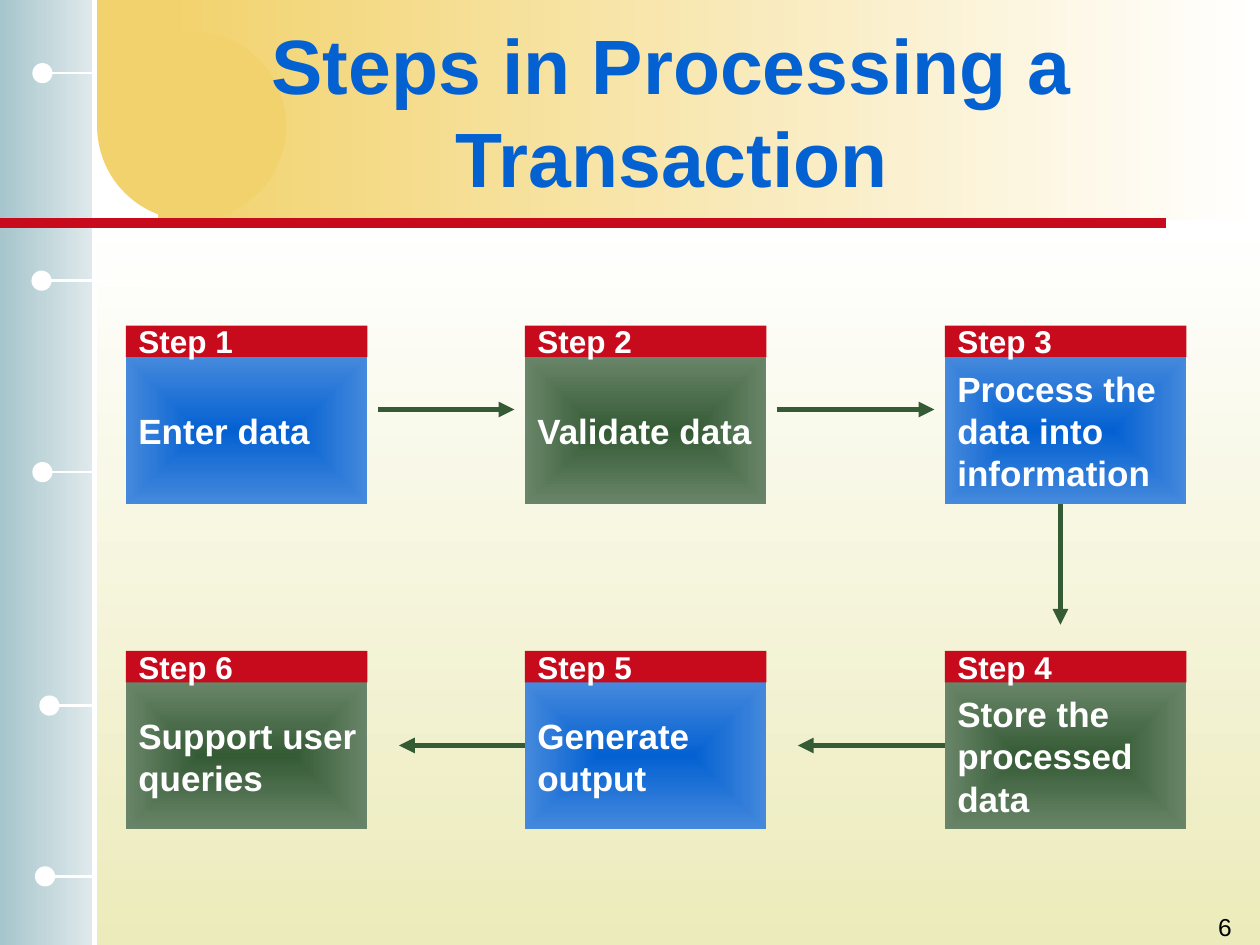
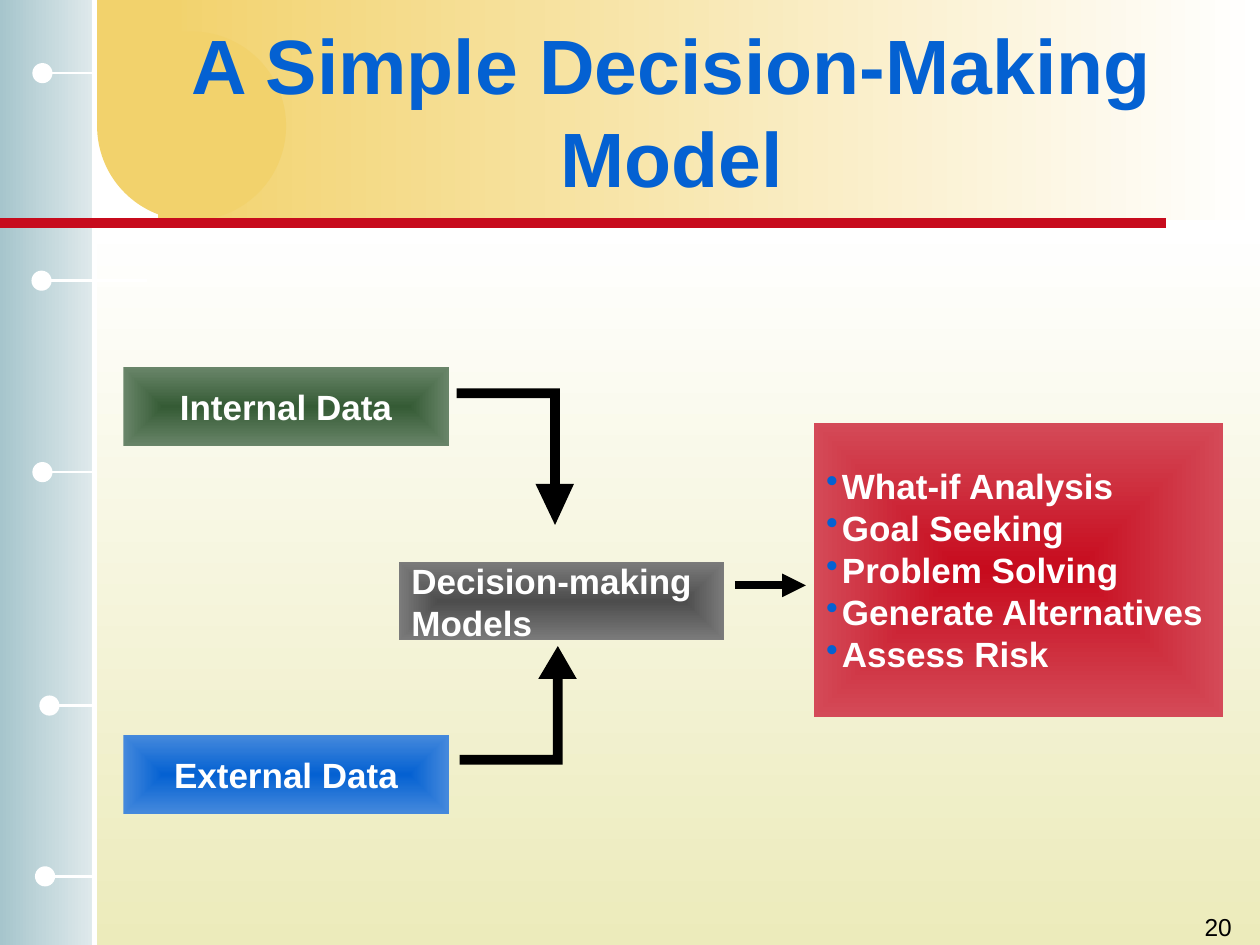
from pptx import Presentation
from pptx.util import Pt
from pptx.dml.color import RGBColor as RGB
from pptx.enum.shapes import MSO_SHAPE as Kind, MSO_CONNECTOR as Conn
from pptx.enum.text import PP_ALIGN as Align, MSO_ANCHOR as Anchor
from pptx.oxml.ns import qn
from lxml.etree import SubElement as Sub

WHITE, BLACK = "FFFFFF", "000000"
BLUE, GREEN, RED, GRAY = "0461D2", "355B35", "C70B1D", "4D4D4D"
GOLD = "F2D26C"
EDGE = {BLUE: "4589DC", GREEN: "698569", RED: "D44A58", GRAY: "7B7B7B"}


def rgb(code):
    return RGB.from_string(code)


class Deck:
    font = "Arial"

    def __init__(self):
        self.prs = Presentation()
        self.prs.slide_width, self.prs.slide_height = Pt(720), Pt(540)
        self.slide = None

    # Shapes
    def shape(self, x, y, w, h, fill, kind=Kind.RECTANGLE):
        item = self.slide.shapes.add_shape(kind, Pt(x), Pt(y), Pt(w), Pt(h))
        self.paint(item, fill)
        return item

    def paint(self, item, fill):
        item.shadow.inherit = False
        item.fill.solid()
        item.fill.fore_color.rgb = rgb(fill)
        item.line.fill.background()

    def blend(self, item, first, last, angle=None):
        """Linear gradient at an angle, or one that grows from the centre."""
        fill = item.fill
        fill.gradient()
        for stop, code in zip(fill.gradient_stops, (first, last)):
            stop.color.rgb = rgb(code)
        if angle is not None:
            fill.gradient_angle = angle
            return
        grad = item._element.spPr.find(qn("a:gradFill"))
        grad.remove(grad.find(qn("a:lin")))
        focus = Sub(grad, qn("a:path"), {"path": "rect"})
        Sub(focus, qn("a:fillToRect"), l="50000", t="50000", r="50000", b="50000")

    def line(self, x1, y1, x2, y2, color, width, arrow=False):
        item = self.slide.shapes.add_connector(
            Conn.STRAIGHT, Pt(x1), Pt(y1), Pt(x2), Pt(y2))
        item.line.color.rgb = rgb(color)
        item.line.width = Pt(width)
        if arrow:
            Sub(item._element.spPr.find(qn("a:ln")), qn("a:tailEnd"), type="triangle")
        Sub(item._element.spPr, qn("a:effectLst"))

    def bend(self, x, outer, inner, neck, tip):
        """Elbow arrow: a bar to the right, then a shaft up or down to the tip."""
        dots = [(0, inner), (53.4, inner), (53.4, neck), (45, neck), (56.2, tip),
                (67, neck), (59, neck), (59, outer), (0, outer)]
        dots = [(Pt(x + dx), Pt(y)) for dx, y in dots]
        form = self.slide.shapes.build_freeform(*dots[0])
        form.add_line_segments(dots[1:], close=True)
        self.paint(form.convert_to_shape(), BLACK)

    # Text
    def text(self, item, lines, size, color=WHITE, bold=True, align=Align.LEFT,
             anchor=Anchor.MIDDLE, bullet=False):
        frame = item.text_frame
        frame.word_wrap = True
        frame.vertical_anchor = anchor
        frame.margin_left = Pt(7.2)
        frame.margin_right = Pt(0 if align == Align.LEFT else 7.2)
        frame.margin_top = frame.margin_bottom = Pt(3.6)
        for i, words in enumerate(lines):
            para = frame.paragraphs[0] if i == 0 else frame.add_paragraph()
            para.alignment = align
            if bullet:
                self.bullet(para)
            run = para.add_run()
            run.text = words
            run.font.name, run.font.size, run.font.bold = self.font, Pt(size), bold
            run.font.color.rgb = rgb(color)

    def bullet(self, para):
        prop = para._p.get_or_add_pPr()
        prop.set("marL", str(Pt(9)))
        prop.set("indent", str(-Pt(9)))
        Sub(Sub(prop, qn("a:buClr")), qn("a:srgbClr"), val=BLUE)
        Sub(prop, qn("a:buChar"), char="•")

    def label(self, x, y, w, h, words, size, color, **style):
        item = self.slide.shapes.add_textbox(Pt(x), Pt(y), Pt(w), Pt(h))
        self.text(item, [words], size, color, **style)

    def box(self, x, y, w, h, lines, color, **style):
        item = self.shape(x, y, w, h, color)
        self.blend(item, color, EDGE[color])
        self.text(item, lines, 20, **style)

    def step(self, x, y, num, lines, color):
        self.box(x, y + 18, 138, 84, lines, color)
        self.text(self.shape(x, y, 138, 18, RED), [f"Step {num}"], 18)

    # Shared frame
    def page(self, title, num):
        self.slide = self.prs.slides.add_slide(self.prs.slide_layouts[6])
        for x, y, w, h, first, last, angle in (
                (52.5, 127.5, 667.5, 412.5, WHITE, "ECEBBB", 270),
                (0, 0, 54, 540, "E0EAEC", "A6C5CC", 180),
                (90, 0, 630, 126, WHITE, GOLD, 180)):
            self.blend(self.shape(x, y, w, h, first), first, last, angle)
        self.shape(55.5, 18, 108, 108, GOLD, Kind.OVAL)
        self.shape(55.5, 0, 48, 69, GOLD)
        self.line(54, 0, 54, 540, WHITE, 3)
        self.line(0, 127.5, 666, 127.5, RED, 6)
        # Pins on the side band
        for x, y, end in ((18.5, 41.8, 54), (18, 160.4, 84), (18.5, 269.8, 52.5),
                          (22.5, 403.2, 54), (20, 500.8, 52.5)):
            self.line(x + 6, y, end, y, WHITE, 1.5)
            self.shape(x, y - 5.75, 11.5, 11.5, WHITE, Kind.OVAL)
        self.label(78, 18, 612, 90, title, 44, BLUE, align=Align.CENTER)
        self.label(561, 517.5, 150, 22, str(num), 14, BLACK, bold=False,
                   align=Align.RIGHT, anchor=Anchor.TOP)


def steps(deck):
    deck.page("Steps in Processing a Transaction", 6)
    for ends in ((216, 234, 294, 234), (444, 234, 534, 234), (606, 288, 606, 357),
                 (546, 426, 456, 426), (306, 426, 228, 426)):
        deck.line(*ends, GREEN, 3, arrow=True)
    cols = (72, 300, 540)
    spots = [(x, 186) for x in cols] + [(x, 372) for x in reversed(cols)]
    texts = (["Enter data"], ["Validate data"],
             ["Process the", "data into", "information"],
             ["Store the", "processed", "data"],
             ["Generate", "output"], ["Support user", "queries"])
    for i, ((x, y), lines) in enumerate(zip(spots, texts)):
        deck.step(x, y, i + 1, lines, GREEN if i % 2 else BLUE)


def model(deck):
    deck.page("A Simple Decision-Making Model", 20)
    # Sources
    deck.box(70.5, 210, 186, 45, ["Internal Data"], GREEN, align=Align.CENTER)
    deck.box(70.5, 420, 186, 45, ["External Data"], BLUE, align=Align.CENTER)
    # Models and results
    deck.box(228, 321, 186, 45, ["Decision-making", "Models"], GRAY)
    deck.box(465, 241.5, 234, 168,
             ["What-if Analysis", "Goal Seeking", "Problem Solving",
              "Generate Alternatives", "Assess Risk"], RED, bullet=True)
    # Flow
    deck.bend(261, 222, 227.5, 276.5, 300)
    deck.bend(262.6, 437, 431.4, 388, 369.2)
    deck.line(420, 334.5, 460.5, 334.5, BLACK, 4.5, arrow=True)


def main():
    deck = Deck()
    steps(deck)
    model(deck)
    deck.prs.save("out.pptx")


if __name__ == "__main__":
    main()
